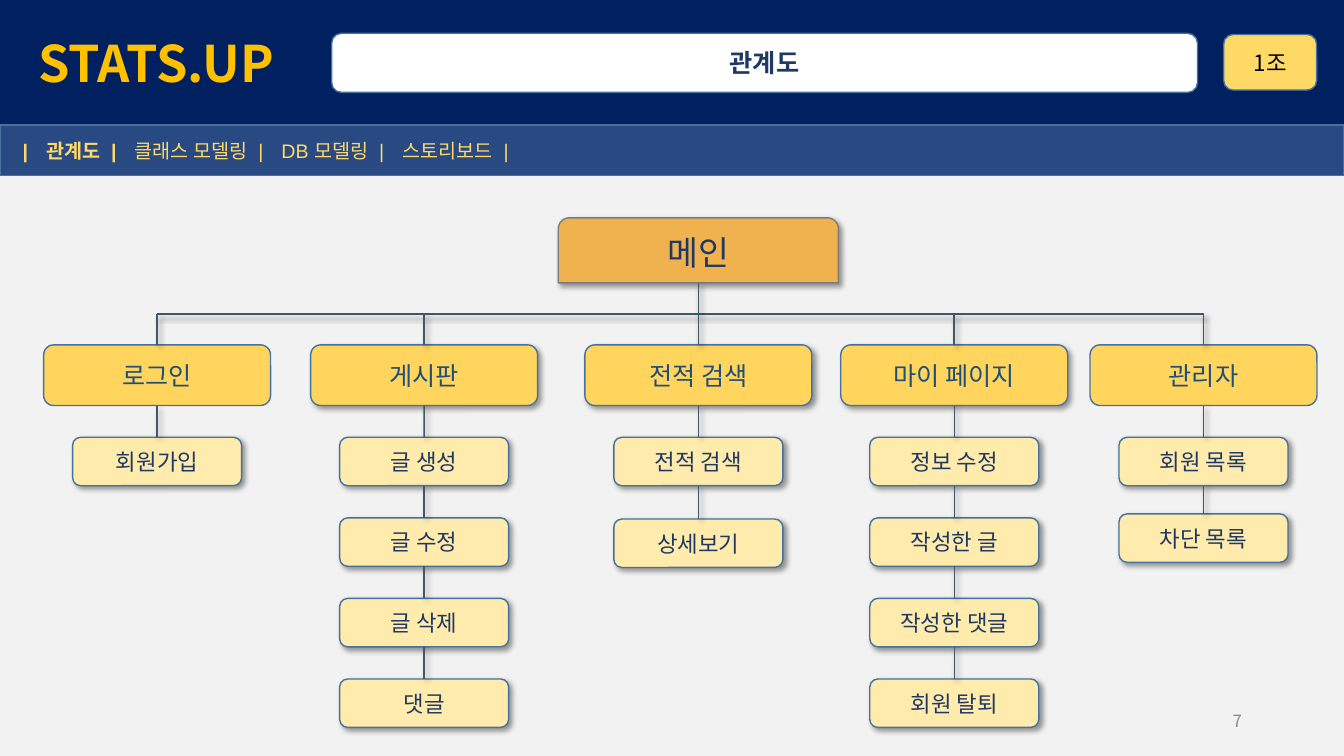
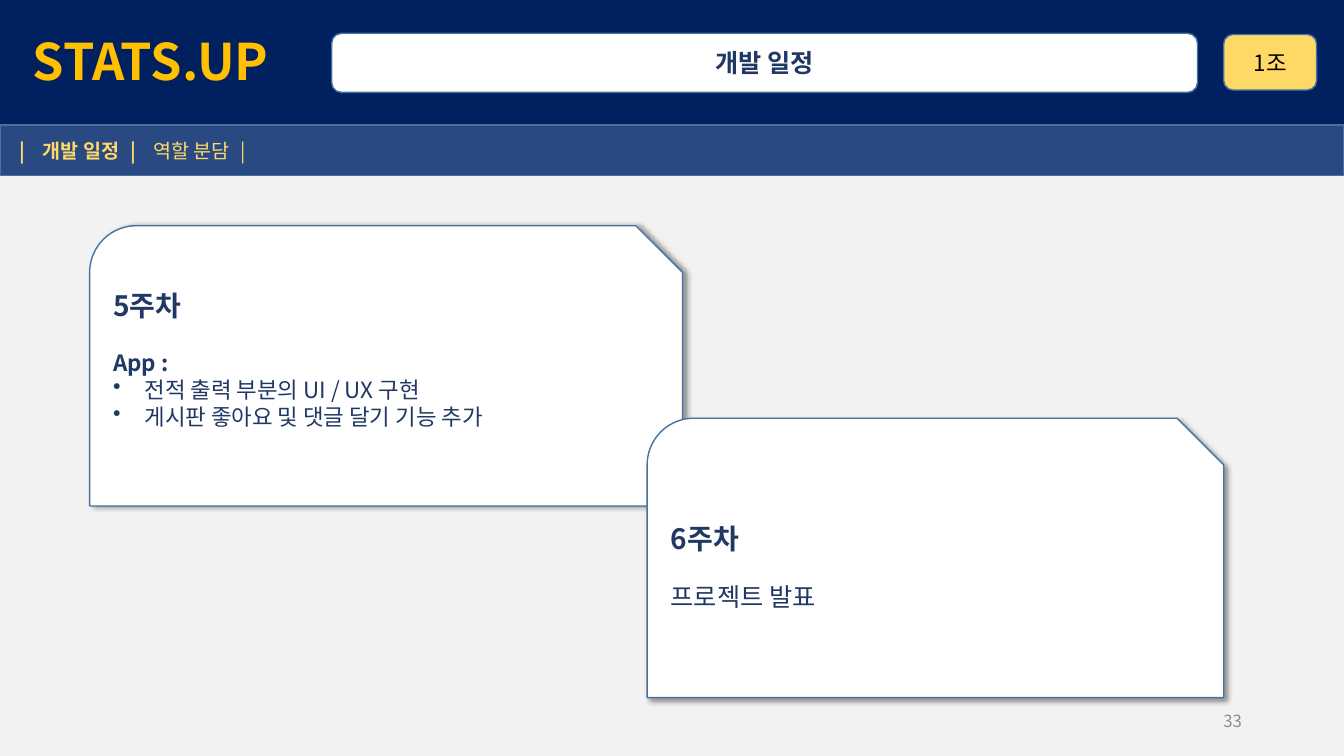
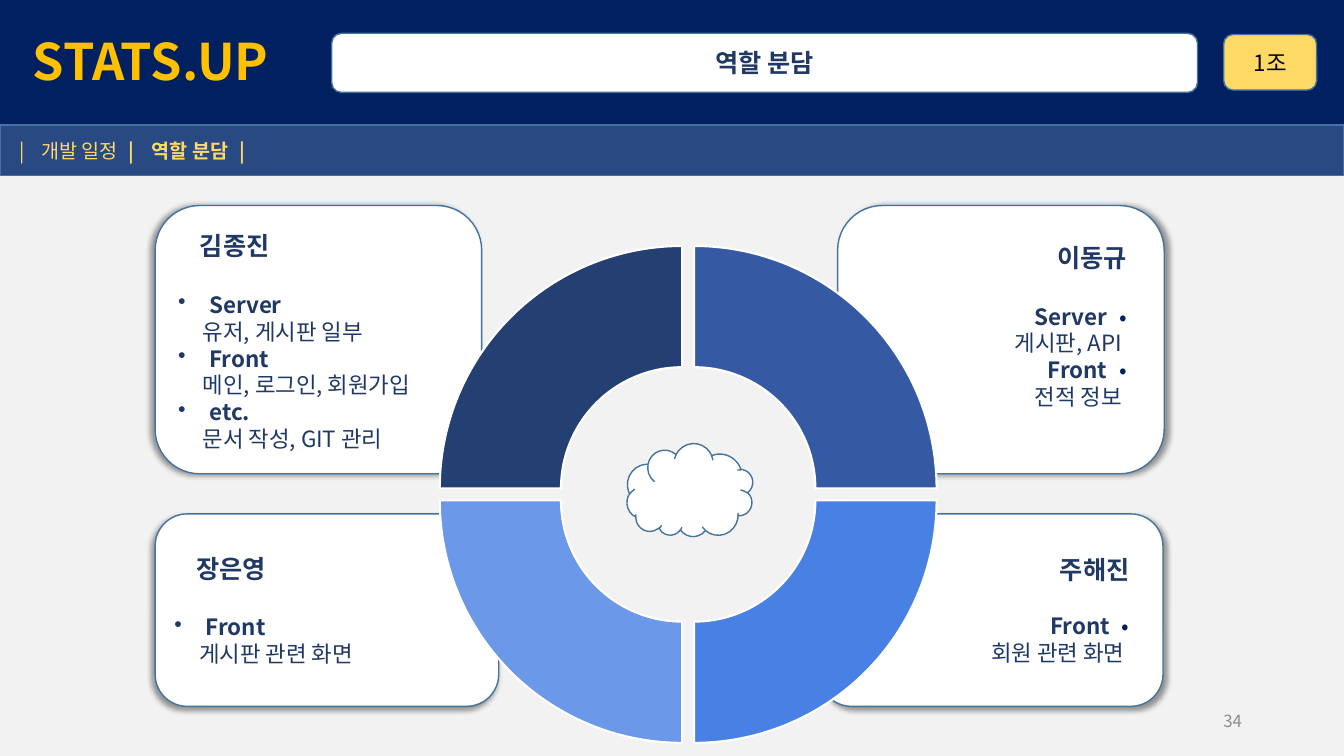
from pptx import Presentation
from pptx.chart.data import CategoryChartData
from pptx.dml.color import RGBColor
from pptx.enum.chart import XL_CHART_TYPE
from pptx.enum.shapes import MSO_CONNECTOR, MSO_SHAPE as SHAPE
from pptx.enum.text import MSO_ANCHOR, PP_ALIGN as ALIGN
from pptx.oxml import parse_xml
from pptx.oxml.ns import nsdecls, qn
from pptx.util import Cm, Pt
from lxml.etree import SubElement

FONT = "Noto Sans CJK KR"
NAVY, INK, WHITE = "002060", "203864", "FFFFFF"
EDGE, WIRE, YELLOW = "43739E", "44546A", "FFD966"
rgb = RGBColor.from_string


def style(item, fill=None, line=None, width=1, shadow=None):
    if fill:
        item.fill.solid()
        item.fill.fore_color.rgb = rgb(fill)
    if line:
        item.line.color.rgb = rgb(line)
        item.line.width = Pt(width)
    else:
        item.line.fill.background()
    effects = SubElement(item._element.spPr, qn("a:effectLst"))
    if shadow is not None:
        effects.append(parse_xml(
            f'<a:outerShdw {nsdecls("a")} blurRad="{Pt(4)}" dist="{Pt(3)}" '
            f'dir="{shadow * 60000}" algn="ctr" rotWithShape="0"><a:srgbClr val="000000">'
            '<a:alpha val="40000"/></a:srgbClr></a:outerShdw>'))
    return item


def write(frame, text, size=16, color=INK, bold=False, font=FONT, align=ALIGN.LEFT,
          before=0, left=0, bullet=False, spacing=None, tracking=0, same_line=False):
    line = frame.paragraphs[-1]
    if not same_line:
        if line.runs:
            line = frame.add_paragraph()
        props = line._p.get_or_add_pPr()
        props.set("marL", str(Cm(left)))
        props.set("indent", str(-Cm(left) if bullet else 0))
        if bullet:
            SubElement(props, qn("a:buChar"), char="•")
        line.alignment = align
        line.space_before = Pt(before)
        if spacing:
            line.line_spacing = spacing
    run = line.add_run()
    run.text = text
    run.font.size = Pt(size)
    run.font.bold = bold
    run.font.name = font
    run.font.color.rgb = rgb(color)
    letters = run._r.get_or_add_rPr()
    SubElement(letters, qn("a:ea"), typeface=FONT)
    if tracking:
        letters.set("spc", str(int(tracking * 100)))


prs = Presentation()
prs.slide_width, prs.slide_height = Cm(33.87), Cm(19.05)
backdrop = prs.slide_master.background.fill
backdrop.solid()
backdrop.fore_color.rgb = rgb("F2F2F2")

pages = [
    ("관계도", "7", (0.97, 0.32), "Arial", 0.57, ["관계도", "클래스 모델링", "DB 모델링", "스토리보드"]),
    ("개발 일정", "33", (0.83, 0.19), FONT, 0.5, ["개발 일정", "역할 분담"]),
    ("역할 분담", "34", (0.83, 0.19), FONT, 0.48, ["개발 일정", "역할 분담"]),
]
slides = []
for title, number, (logo_left, logo_top), nav_font, nav_left, sections in pages:
    slide = prs.slides.add_slide(prs.slide_layouts[6])
    slides.append(slide)

    band = style(slide.shapes.add_shape(SHAPE.RECTANGLE, 0, 0, Cm(33.87), Cm(3.15)), NAVY)
    band.text_frame.margin_left, band.text_frame.margin_top = Cm(logo_left), Cm(logo_top)
    write(band.text_frame, "STATS.UP", size=36, color="FFC000", bold=True, spacing=0.9)

    heading = style(slide.shapes.add_shape(
        SHAPE.ROUNDED_RECTANGLE, Cm(8.36), Cm(0.84), Cm(21.82), Cm(1.49)), WHITE, EDGE)
    write(heading.text_frame, title, size=18, bold=True, align=ALIGN.CENTER)

    team = style(slide.shapes.add_shape(
        SHAPE.ROUNDED_RECTANGLE, Cm(30.84), Cm(0.87), Cm(2.34), Cm(1.4)), YELLOW, EDGE)
    write(team.text_frame, "1조", color="000000", align=ALIGN.CENTER)

    nav = style(slide.shapes.add_shape(
        SHAPE.RECTANGLE, 0, Cm(3.15), Cm(33.87), Cm(1.27)), "294983", EDGE)
    nav.text_frame.margin_left = Cm(nav_left)
    nav_look = dict(size=14, color=YELLOW, font=nav_font)
    write(nav.text_frame, "| ", bold=sections[0] == title, tracking=4.5, **nav_look)
    for section in sections:
        active = section == title
        bar = " |" if section == sections[-1] else " | "
        bar_bold = active or title in sections[sections.index(section) + 1:][:1]
        write(nav.text_frame, section, bold=active, same_line=True, **nav_look)
        write(nav.text_frame, bar, bold=bar_bold, tracking=4.5, same_line=True, **nav_look)

    page_number = slide.shapes.add_textbox(Cm(23.93), Cm(17.65), Cm(7.62), Cm(1.02)).text_frame
    page_number.word_wrap = True
    page_number.vertical_anchor = MSO_ANCHOR.MIDDLE
    write(page_number, number, size=12, color="8C8C8C", align=ALIGN.RIGHT)

relations, schedule, roles = [slide.shapes for slide in slides]

main_box = style(relations.add_shape(
    SHAPE.ROUND_2_SAME_RECTANGLE, Cm(14.07), Cm(5.49), Cm(7.06), Cm(1.64)),
    "EFB24F", "7C7C7C", shadow=45)
write(main_box.text_frame, "메인", size=24, align=ALIGN.CENTER)

menus = [
    ("로그인", 3.96, None, 2.03, ["회원가입"]),
    ("게시판", 10.69, 45, 2.03, ["글 생성", "글 수정", "글 삭제", "댓글"]),
    ("전적 검색", 17.6, 45, 2.06, ["전적 검색", "상세보기"]),
    ("마이 페이지", 24.05, 45, 2.03, ["정보 수정", "작성한 글", "작성한 댓글", "회원 탈퇴"]),
    ("관리자", 30.33, None, 1.93, ["회원 목록", "차단 목록"]),
]
rail_y = 7.91
rail = relations.add_connector(
    MSO_CONNECTOR.STRAIGHT, Cm(menus[0][1]), Cm(rail_y), Cm(menus[-1][1]), Cm(rail_y))
style(rail, line=WIRE, width=1.25, shadow=45)
for menu, center, menu_shadow, step, functions in menus:
    parent = style(relations.add_shape(
        SHAPE.ROUNDED_RECTANGLE, Cm(center - 2.86), Cm(8.69), Cm(5.72), Cm(1.53)),
        "FFD55D", EDGE, shadow=menu_shadow)
    write(parent.text_frame, menu, size=18, color="1F4E79", align=ALIGN.CENTER)
    drop_top = 7.13 if menu == "전적 검색" else rail_y
    drop = relations.add_connector(
        MSO_CONNECTOR.STRAIGHT, Cm(center), Cm(drop_top), Cm(center), Cm(8.69))
    drop.end_connect(parent, 0)
    style(drop, line=WIRE, width=1.25, shadow=45)
    for row, function in enumerate(functions):
        child = style(relations.add_shape(
            SHAPE.ROUNDED_RECTANGLE, Cm(center - 2.13), Cm(11.02 + row * step), Cm(4.26), Cm(1.22)),
            "FFEBAB", EDGE, shadow=45)
        write(child.text_frame, function, align=ALIGN.CENTER)
        link = relations.add_connector(MSO_CONNECTOR.STRAIGHT, 0, 0, 0, 0)
        link.begin_connect(parent, 2)
        link.end_connect(child, 0)
        style(link, line=WIRE, shadow=45)
        parent = child

weeks = [
    ("5주차", (2.26, 5.69, 14.94, 7.06), 0, (0.13, 0.81), [
        ("App :", dict(bold=True, before=19.2)),
        ("전적 출력 부분의 UI / UX 구현", dict(bullet=True, left=0.79)),
        ("게시판 좋아요 및 댓글 달기 기능 추가", dict(bullet=True, left=0.79))]),
    ("6주차", (16.31, 10.54, 14.53, 7.04), 45, (0.22, 0.13), [
        ("프로젝트 발표", dict(size=18, before=19.2))]),
]
for week, place, direction, (top, bottom), tasks in weeks:
    card = style(schedule.add_shape(SHAPE.SNIP_ROUND_RECTANGLE, *map(Cm, place)),
                 WHITE, EDGE, shadow=direction)
    frame = card.text_frame
    frame.margin_top, frame.margin_bottom = Cm(top), Cm(bottom)
    write(frame, week, size=20, bold=True, spacing=Pt(24))
    for task, look in tasks:
        write(frame, task, spacing=Pt(1.2 * look.get("size", 16)), **look)

members = [
    ("이동규", (21.11, 5.18, 8.23, 6.76), 0, (0.13, 0.81), 21.6, True,
     [("Server", "게시판, API"), ("Front", "전적 정보")]),
    ("주해진", (20.65, 12.95, 8.66, 4.85), 45, (0.13, 0.13), 19.2, True,
     [("Front", "회원 관련 화면")]),
    ("장은영", (3.91, 12.95, 8.66, 4.85), 135, (0.13, 0.13), 21.6, False,
     [("Front", "게시판 관련 화면")]),
    ("김종진", (3.91, 5.18, 8.23, 6.76), 180, (0.21, 0.13), 21.6, False,
     [("Server", "유저, 게시판 일부"), ("Front", "메인, 로그인, 회원가입"),
      ("etc.", "문서 작성, GIT 관리")]),
]
for member, place, direction, (top, bottom), gap, on_right, duties in members:
    card = style(roles.add_shape(SHAPE.ROUNDED_RECTANGLE, *map(Cm, place)),
                 WHITE, EDGE, shadow=direction)
    frame = card.text_frame
    frame.margin_top, frame.margin_bottom = Cm(top), Cm(bottom)
    side = ALIGN.RIGHT if on_right else ALIGN.LEFT
    if on_right:
        frame.margin_right = Cm(0.61)
    write(frame, member, size=18, bold=True, align=side, left=0 if on_right else 0.55,
          spacing=Pt(21.6))
    for order, (area, work) in enumerate(duties):
        before = 0 if order else gap
        write(frame, area, bold=True, align=side, before=before, bullet=not on_right,
              left=0 if on_right else 0.79, spacing=Pt(19.2))
        if on_right:
            write(frame, " ", tracking=5, same_line=True)
            write(frame, "•", color=NAVY, same_line=True)
        write(frame, work, align=side, left=0 if on_right else 0.62, spacing=Pt(19.2))
        if on_right:
            write(frame, " ", tracking=12, same_line=True)

shares = CategoryChartData()
shares.categories = ["1", "2", "3", "4"]
shares.add_series("Series 1", [25, 25, 25, 25])
ring = roles.add_chart(
    XL_CHART_TYPE.DOUGHNUT, Cm(9.83), Cm(4.5), Cm(14.45), Cm(14.88), shares).chart
ring.has_title = False
ring.has_legend = False
ring.font.name, ring.font.size = FONT, Pt(10)
ring.font.color.rgb = rgb("000000")
ring.plots[0].vary_by_categories = True
ring.plots[0]._element.find(qn("c:holeSize")).set("val", "45")
quarters = ring.plots[0].series[0]
quarters.format.line.color.rgb = rgb(WHITE)
quarters._element.find(qn("c:spPr")).addnext(
    parse_xml(f'<c:explosion {nsdecls("c")} val="7"/>'))
for index, shade in enumerate(["355AA3", "4980E3", "6B98E9", "244072"]):
    quarter = quarters.points[index].format
    quarter.fill.solid()
    quarter.fill.fore_color.rgb = rgb(shade)
    quarter.line.color.rgb = rgb(WHITE)
    quarter.line.width = Pt(1.5)

plot_area = ring._chartSpace.chart.plotArea
for old_layout in plot_area.findall(qn("c:layout")):
    plot_area.remove(old_layout)
plot_area.insert(0, parse_xml(
    f'<c:layout {nsdecls("c")}><c:manualLayout><c:layoutTarget val="inner"/>'
    '<c:xMode val="edge"/><c:yMode val="edge"/><c:x val="0.04"/><c:y val="0.11"/>'
    '<c:w val="0.96"/><c:h val="0.85"/></c:manualLayout></c:layout>'))

cloud = style(roles.add_shape(SHAPE.CLOUD, Cm(15.8), Cm(11.18), Cm(3.18), Cm(2.39)), WHITE, EDGE)
cloud.rotation = 190.3

prs.save("out.pptx")
